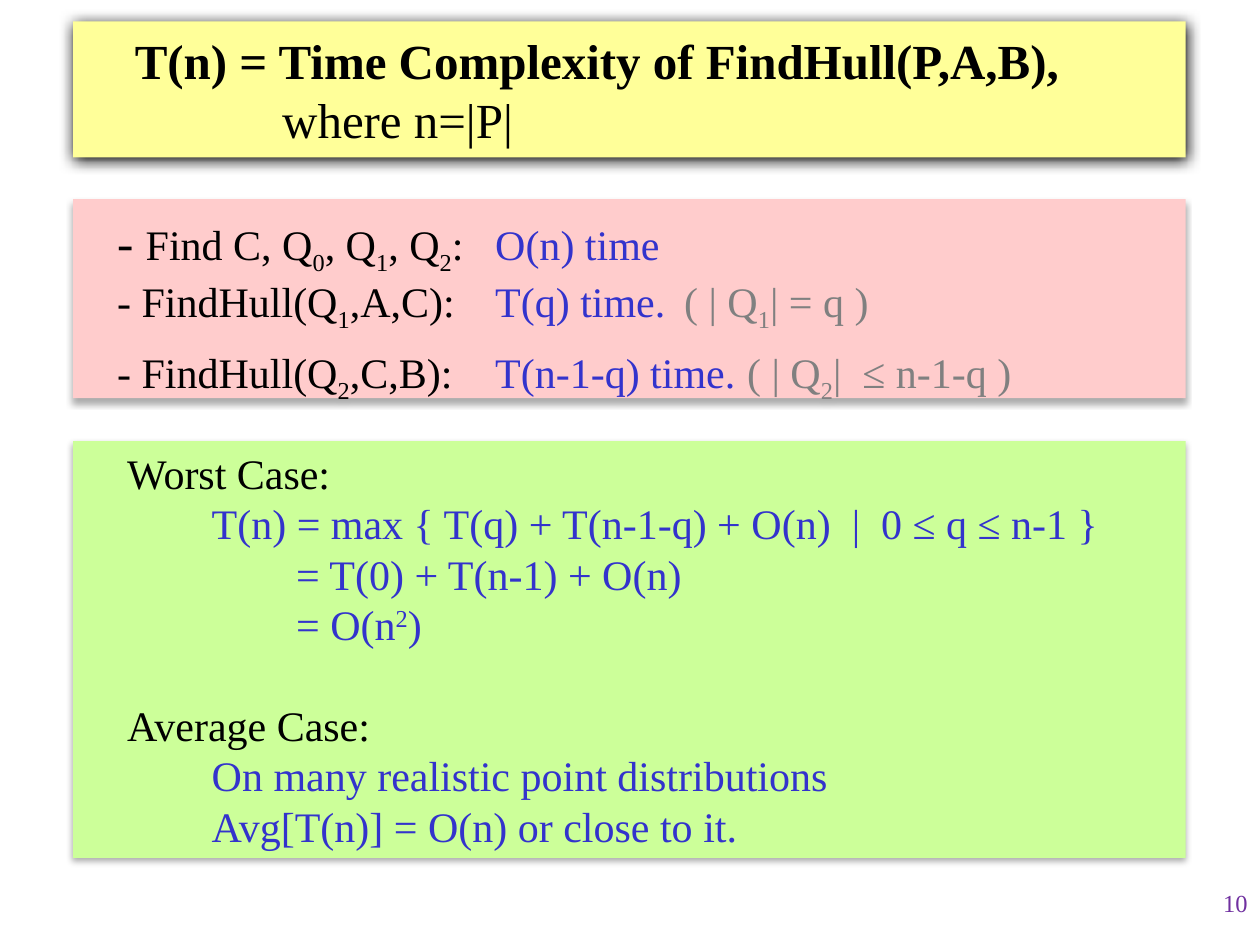
"""Build a slide on the time complexity of the FindHull algorithm."""
from lxml.etree import SubElement
from pptx import Presentation
from pptx.dml.color import RGBColor
from pptx.enum.text import MSO_ANCHOR, MSO_AUTO_SIZE, PP_ALIGN
from pptx.oxml.ns import qn
from pptx.util import Inches, Pt

FONT = "Times New Roman"
BLACK = RGBColor(0x00, 0x00, 0x00)
BLUE = RGBColor(0x33, 0x33, 0xCC)
GRAY = RGBColor(0x80, 0x80, 0x80)
PURPLE = RGBColor(0x70, 0x30, 0xA0)
YELLOW = RGBColor(0xFF, 0xFF, 0x99)
GREEN = RGBColor(0xCC, 0xFF, 0x99)
PINK = RGBColor(0xFF, 0xCC, 0xCC)

SUB, SUPER = -25, 30
PANEL_LEFT, PANEL_WIDTH = 0.58, 8.83
STEP_TABS = (2.91, 5.27)
STRONG_SHADOW = {"blur": 8.5, "distance": 1, "alpha": 100}
SOFT_SHADOW = {"blur": 3.5, "distance": 2.2, "alpha": 32}

TITLE = [
    {"runs": [("T(n) = Time Complexity of FindHull(P,A,B),", {"bold": True})], "indent": 0.39},
    {"runs": [("where n=|P|", {})], "indent": 1.56},
]
CASES = [
    {"runs": [("Worst Case:", {})], "indent": 0.33},
    {"runs": [("T(n) = max { T(q) + T(n-1-q) + O(n)  |  0 ≤ q ≤ n-1 }", {"color": BLUE})], "indent": 1},
    {"runs": [("= T(0) + T(n-1) + O(n)", {"color": BLUE})], "indent": 1.67},
    {"runs": [("= O(n", {"color": BLUE}), ("2", {"color": BLUE, "baseline": SUPER}),
              (")", {"color": BLUE})], "indent": 1.67},
    {"runs": [("Average Case:", {})], "indent": 0.33, "before": 28.8},
    {"runs": [("On many realistic point distributions", {"color": BLUE})], "indent": 1},
    {"runs": [("Avg[T(n)] = O(n) or close to it.", {"color": BLUE})], "indent": 1},
]
STEPS = [
    {"runs": [("- ", {"size": 28}), ("Find C, Q", {}), ("0", {"baseline": SUB}), (", Q", {}),
              ("1", {"baseline": SUB}), (", Q", {}), ("2", {"baseline": SUB}), (":\t", {}),
              ("O(n) time", {"color": BLUE})], "indent": 0.25, "spacing": 40.5},
    {"runs": [("- FindHull(Q", {}), ("1", {"baseline": SUB}), (",A,C):\t", {}),
              ("T(q) time.\t", {"color": BLUE}), ("( | Q", {"color": GRAY}),
              ("1", {"color": GRAY, "baseline": SUB}), ("| = q )", {"color": GRAY})],
     "indent": 0.25, "spacing": 32.5},
    {"runs": [("- FindHull(Q", {}), ("2", {"baseline": SUB}), (",C,B):\t", {}),
              ("T(n-1-q) time.\t", {"color": BLUE}), ("( | Q", {"color": GRAY}),
              ("2", {"color": GRAY, "baseline": SUB}), ("|  ≤ n-1-q )", {"color": GRAY})],
     "indent": 0.25, "spacing": 40.5},
]


def add_text(paragraph, text, size=24, color=BLACK, bold=False, baseline=0):
    run = paragraph.add_run()
    run.text = text
    run.font.name = FONT
    run.font.size = Pt(size)
    run.font.bold = bold
    run.font.color.rgb = color
    if baseline:
        run._r.get_or_add_rPr().set("baseline", str(baseline * 1000))


def add_shadow(shape, blur, distance, alpha):
    effects = SubElement(shape._element.spPr, qn("a:effectLst"))
    shadow = SubElement(effects, qn("a:outerShdw"), blurRad=str(Pt(blur)),
                        dist=str(Pt(distance)), dir="5400000", rotWithShape="0")
    color = SubElement(shadow, qn("a:srgbClr"), val="000000")
    SubElement(color, qn("a:alpha"), val=str(alpha * 1000))


def format_paragraph(paragraph, indent, spacing, before=0, tabs=()):
    properties = paragraph._p.get_or_add_pPr()
    properties.set("marL", str(Inches(indent)))
    properties.set("indent", "0")
    SubElement(properties, qn("a:buNone"))
    if tabs:
        tab_list = SubElement(properties, qn("a:tabLst"))
        for position in tabs:
            SubElement(tab_list, qn("a:tab"), pos=str(Inches(position)), algn="l")
    paragraph.alignment = PP_ALIGN.LEFT
    paragraph.line_spacing = Pt(spacing)
    paragraph.space_before = Pt(before)
    paragraph.space_after = Pt(0)


def fill_panel(shape, top, height, fill, lines, shadow, size=24, spacing=28.8,
               anchor=MSO_ANCHOR.TOP, tabs=()):
    shape.left, shape.top = Inches(PANEL_LEFT), Inches(top)
    shape.width, shape.height = Inches(PANEL_WIDTH), Inches(height)
    shape.fill.solid()
    shape.fill.fore_color.rgb = fill
    shape.line.fill.background()
    add_shadow(shape, **shadow)
    frame = shape.text_frame
    frame.word_wrap = True
    frame.auto_size = MSO_AUTO_SIZE.NONE
    frame.vertical_anchor = anchor
    for index, line in enumerate(lines):
        paragraph = frame.add_paragraph() if index else frame.paragraphs[0]
        format_paragraph(paragraph, line["indent"], line.get("spacing", spacing),
                         line.get("before", 0), tabs)
        for text, text_format in line["runs"]:
            add_text(paragraph, text, **{"size": size, **text_format})


def main():
    presentation = Presentation()
    presentation.slide_width, presentation.slide_height = Inches(10), Inches(7.5)
    slide = presentation.slides.add_slide(presentation.slide_layouts.get_by_name("Two Content"))
    title, cases, steps = list(slide.placeholders)[:3]

    fill_panel(title, 0.17, 1.08, YELLOW, TITLE, STRONG_SHADOW, size=28, spacing=33.7,
               anchor=MSO_ANCHOR.MIDDLE)
    fill_panel(cases, 3.5, 3.31, GREEN, CASES, SOFT_SHADOW)
    fill_panel(steps, 1.58, 1.58, PINK, STEPS, SOFT_SHADOW, tabs=STEP_TABS)

    page_number = slide.shapes.add_textbox(Inches(7.92), Inches(7), Inches(2.08), Inches(0.5))
    page_number.text_frame.word_wrap = True
    paragraph = page_number.text_frame.paragraphs[0]
    paragraph.alignment = PP_ALIGN.RIGHT
    add_text(paragraph, "10", size=14, color=PURPLE)

    presentation.save("out.pptx")


if __name__ == "__main__":
    main()
